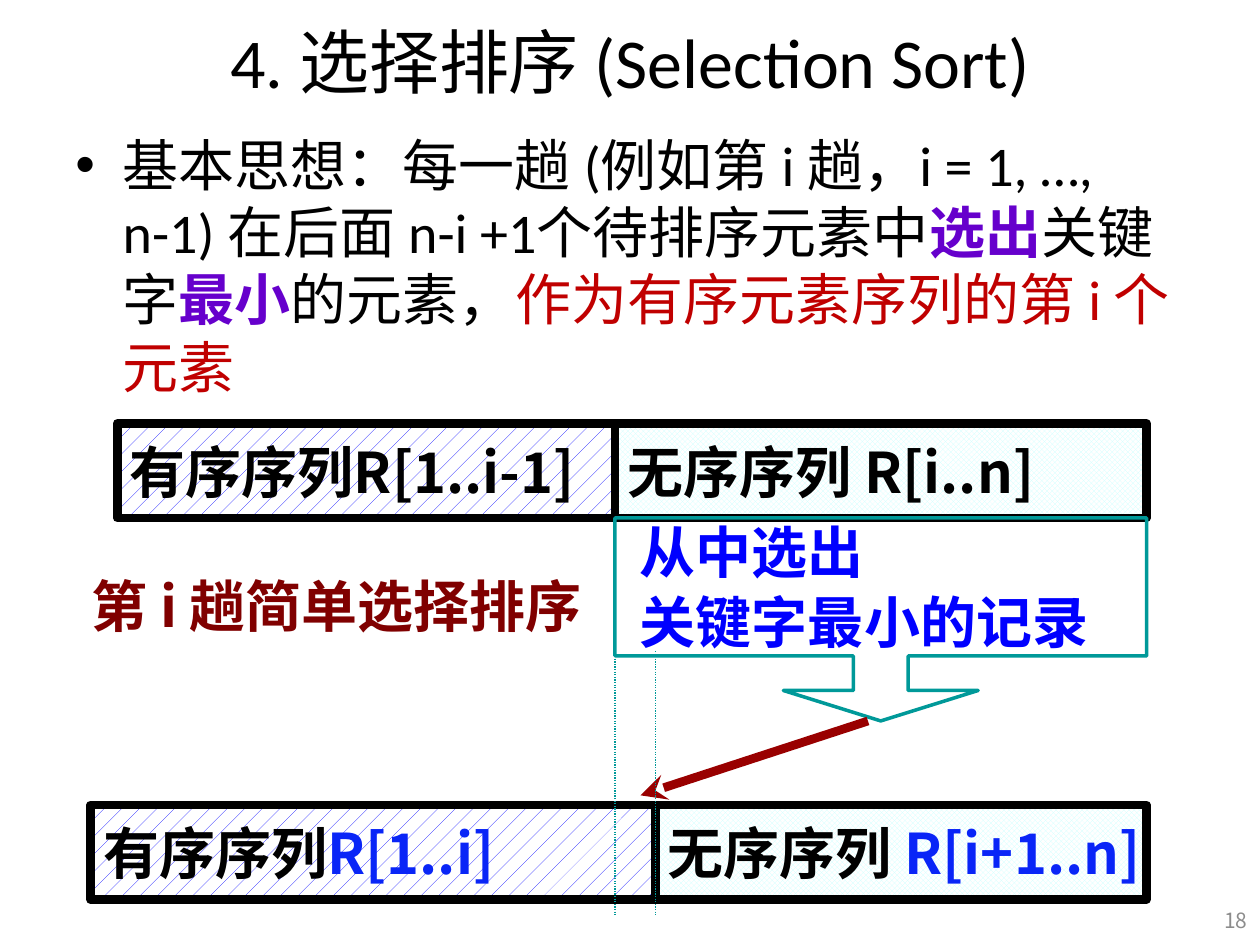
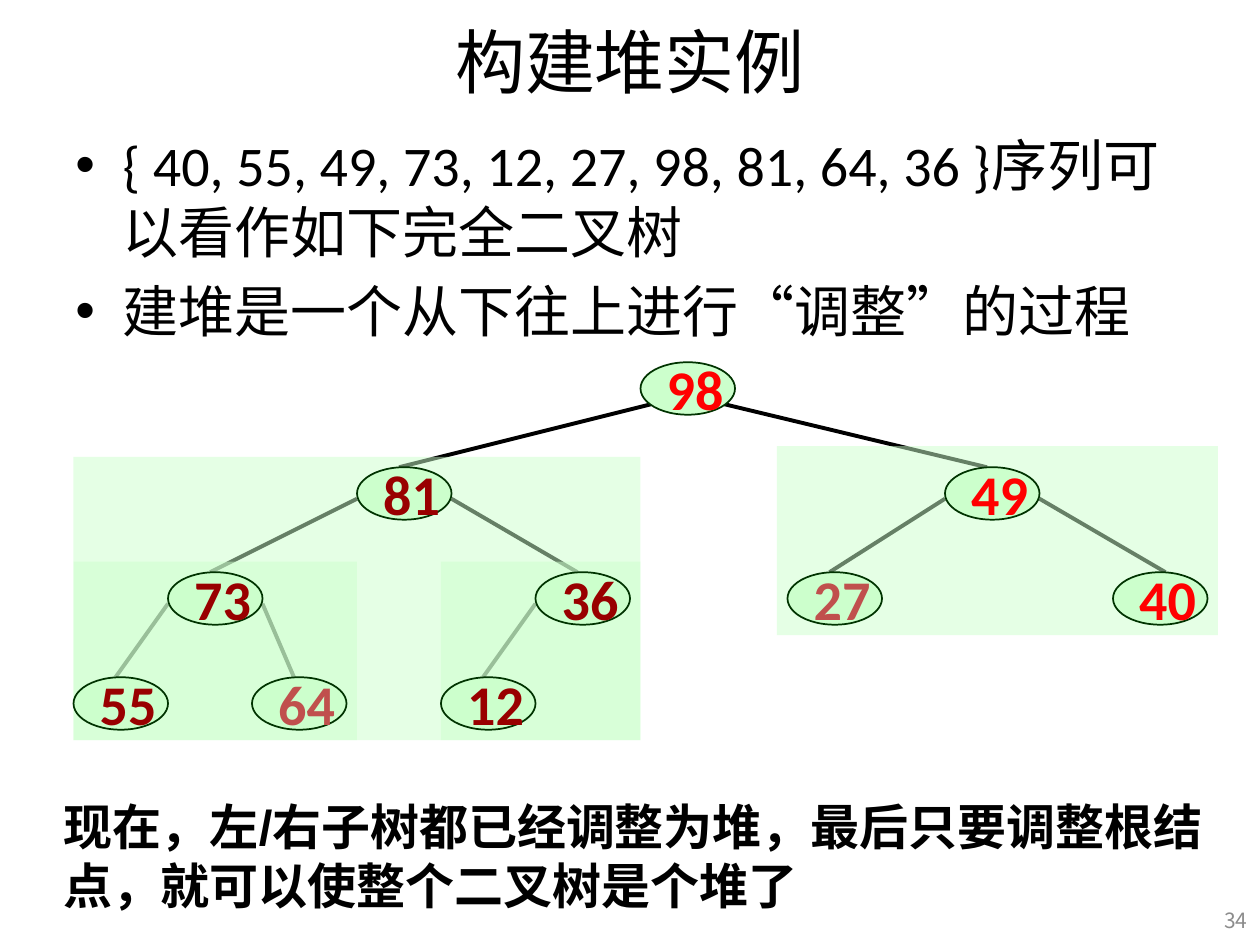
from lxml.etree import SubElement
from pptx import Presentation
from pptx.dml.color import RGBColor
from pptx.enum.dml import MSO_LINE, MSO_PATTERN
from pptx.enum.shapes import MSO_CONNECTOR, MSO_SHAPE
from pptx.enum.text import MSO_ANCHOR, PP_ALIGN
from pptx.oxml.ns import qn
from pptx.util import Pt

BLACK = RGBColor(0x00, 0x00, 0x00)
WHITE = RGBColor(0xFF, 0xFF, 0xFF)
GRAY = RGBColor(0x8C, 0x8C, 0x8C)
PURPLE = RGBColor(0x66, 0x00, 0xCC)
CRIMSON = RGBColor(0xC0, 0x00, 0x00)
MAROON = RGBColor(0x80, 0x00, 0x00)
DARK_RED = RGBColor(0x99, 0x00, 0x00)
RED = RGBColor(0xFF, 0x00, 0x00)
ROSE = RGBColor(0xC0, 0x50, 0x4D)
BLUE = RGBColor(0x00, 0x00, 0xFF)
RANGE_BLUE = RGBColor(0x09, 0x25, 0xF7)
TEAL = RGBColor(0x00, 0x99, 0x99)
PALE_CYAN = RGBColor(0xCC, 0xFF, 0xFF)
PALE_GREEN = RGBColor(0xCC, 0xFF, 0xCC)
DARK_GREEN = RGBColor(0x00, 0x33, 0x00)

LATIN = "Calibri"
CHINESE = "Noto Sans CJK SC"


def write_text(shape, paragraphs, size=32, font=LATIN, bold=False,
               align=PP_ALIGN.LEFT, anchor=MSO_ANCHOR.TOP, wrap=True):
    """Write paragraphs given as lists of (text, color[, bold[, size]]) runs."""
    frame = shape.text_frame
    frame.word_wrap = wrap
    frame.vertical_anchor = anchor
    for index, runs in enumerate(paragraphs):
        paragraph = frame.paragraphs[0] if index == 0 else frame.add_paragraph()
        paragraph.alignment = align
        for text, color, *style in runs:
            run = paragraph.add_run()
            run.text = text
            run.font.name = font
            run.font.bold = style[0] if style else bold
            run.font.size = Pt(style[1] if len(style) > 1 else size)
            run.font.color.rgb = color
            SubElement(run.font._element, qn("a:ea"), typeface=CHINESE)
    return frame


def add_line(slide, start, end, color, width):
    points = [Pt(value) for value in (*start, *end)]
    connector = slide.shapes.add_connector(MSO_CONNECTOR.STRAIGHT, *points)
    connector.line.color.rgb = color
    connector.line.width = Pt(width)
    SubElement(connector._element.spPr, qn("a:effectLst"))
    return connector


presentation = Presentation()
presentation.slide_width = Pt(720)
presentation.slide_height = Pt(540)

# Title, bulleted body and slide number
contents = [
    ("4. 选择排序 (Selection Sort)", "18", [[
        ("基本思想：每一趟 (例如第 i 趟，i = 1, …, n-1) 在后面 n-i +1个待排序元素中", BLACK),
        ("选出", PURPLE, True),
        ("关键字", BLACK),
        ("最小", PURPLE, True),
        ("的元素，", BLACK),
        ("作为有序元素序列的第 i 个元素", CRIMSON),
    ]]),
    ("构建堆实例", "34", [
        [("{ 40, 55, 49, 73, 12, 27, 98, 81, 64, 36 }序列可以看作如下完全二叉树", BLACK)],
        [("建堆是一个从下往上进行“调整”的过程", BLACK)],
    ]),
]
for title, number, body in contents:
    slide = presentation.slides.add_slide(presentation.slide_layouts[6])
    title_box = slide.shapes.add_textbox(Pt(36), Pt(-2), Pt(648), Pt(73))
    write_text(title_box, [[(title, BLACK)]], size=40,
               align=PP_ALIGN.CENTER, anchor=MSO_ANCHOR.MIDDLE)
    body_box = slide.shapes.add_textbox(Pt(36), Pt(71), Pt(648), Pt(459))
    for paragraph in write_text(body_box, body).paragraphs:
        paragraph.space_before = Pt(6.4)
        properties = paragraph._p.get_or_add_pPr()
        properties.set("marL", str(Pt(27)))
        properties.set("indent", str(Pt(-27)))
        SubElement(properties, qn("a:buFont"), typeface="Arial")
        SubElement(properties, qn("a:buChar"), char="•")
    number_box = slide.shapes.add_textbox(Pt(689), Pt(511), Pt(31), Pt(29))
    write_text(number_box, [[(number, GRAY)]], size=12, font=CHINESE,
               align=PP_ALIGN.RIGHT, anchor=MSO_ANCHOR.MIDDLE)

selection_slide, heap_slide = presentation.slides

# Selection sort: sequence before and after pass i
BAR_RIGHT = 655.2
BAR_HEIGHT = 54
SPLIT_BEFORE = 351.4
SPLIT_AFTER = 374.4
ordered_style = (MSO_PATTERN.PERCENT_5, BLUE)
unordered_style = (MSO_PATTERN.TRELLIS, PALE_CYAN)
bars = [
    (67, SPLIT_BEFORE, 242, ordered_style, [("有序序列R[1..i-1]", BLACK)]),
    (SPLIT_BEFORE, BAR_RIGHT, 242, unordered_style, [("无序序列 R[i..n]", BLACK)]),
    (51.8, SPLIT_AFTER, 460, ordered_style,
     [("有序序列", BLACK), ("R[1..i]", RANGE_BLUE)]),
    (SPLIT_AFTER, BAR_RIGHT, 460, unordered_style,
     [("无序序列 ", BLACK), ("R[i+1..n]", RANGE_BLUE)]),
]
for left, right, top, (pattern, color), runs in bars:
    bar = selection_slide.shapes.add_shape(
        MSO_SHAPE.RECTANGLE, Pt(left), Pt(top), Pt(right - left), Pt(BAR_HEIGHT))
    bar.shadow.inherit = False
    bar.fill.patterned()
    bar.fill.pattern = pattern
    bar.fill.fore_color.rgb = color
    bar.fill.back_color.rgb = WHITE
    bar.line.color.rgb = BLACK
    bar.line.width = Pt(5)
    write_text(bar, [runs], font=CHINESE, bold=True,
               anchor=MSO_ANCHOR.MIDDLE, wrap=False)

captions = [
    ((36, 312.5, 304, 58), [[(" ", MAROON, True, 40), ("第 i 趟简单选择排序", MAROON)]]),
    ((358.6, 290, 292, 88.5), [[("从中选出", BLUE)], [("关键字最小的记录", BLUE)]]),
]
for box, paragraphs in captions:
    caption = selection_slide.shapes.add_textbox(*[Pt(value) for value in box])
    frame = write_text(caption, paragraphs, font=CHINESE, bold=True)
    for paragraph in frame.paragraphs:
        paragraph.line_spacing = 1.05

callout = selection_slide.shapes.add_shape(
    MSO_SHAPE.DOWN_ARROW_CALLOUT, Pt(SPLIT_BEFORE), Pt(296),
    Pt(BAR_RIGHT - SPLIT_BEFORE), Pt(116))
callout.shadow.inherit = False
callout.fill.background()
callout.line.color.rgb = TEAL
callout.line.width = Pt(2)
for index, adjustment in enumerate((0.27, 0.48, 0.15, 0.68)):
    callout.adjustments[index] = adjustment

arrow = add_line(selection_slide, (496, 412), (366, 454.5), DARK_RED, 5)
SubElement(arrow.line._get_or_add_ln(), qn("a:tailEnd"), type="stealth")
for split in (SPLIT_BEFORE, SPLIT_AFTER):
    guide = add_line(selection_slide, (split, 372), (split, 523), TEAL, 0.75)
    guide.line.dash_style = MSO_LINE.ROUND_DOT

# Heap: nodes in level order, so the parent of node i is (i - 1) // 2
NODE_WIDTH = 54
NODE_HEIGHT = 30
LEVEL_TOPS = [207, 267, 327, 387]
nodes = [
    (98, 366, RED),
    (81, 204, DARK_RED), (49, 540, RED),
    (73, 96, DARK_RED), (36, 306, DARK_RED), (27, 450, ROSE), (40, 636, RED),
    (55, 42, DARK_RED), (64, 144, ROSE), (12, 252, DARK_RED),
]
tops = [LEVEL_TOPS[(index + 1).bit_length() - 1] for index in range(len(nodes))]

for index in range(1, len(nodes)):
    parent = (index - 1) // 2
    inset, drop = (6, 24) if parent == 0 else (0, 18)
    is_left = index % 2 == 1
    start_x = nodes[parent][1] + (inset if is_left else NODE_WIDTH - inset)
    end_x = nodes[index][1] + (30 if nodes[index][0] == 40 else 24)
    add_line(heap_slide, (start_x, tops[parent] + drop), (end_x, tops[index]), BLACK, 2.25)

subtree_areas = [(252, 321, 114, 102), (42, 321, 162, 102),
                 (444, 255, 252, 108), (42, 261, 324, 162)]
for area in subtree_areas:
    subtree = heap_slide.shapes.add_shape(MSO_SHAPE.RECTANGLE, *[Pt(value) for value in area])
    subtree.shadow.inherit = False
    subtree.fill.solid()
    subtree.fill.fore_color.rgb = PALE_GREEN
    subtree.line.fill.background()
    fill_color = subtree._element.spPr.find(".//" + qn("a:srgbClr"))
    SubElement(fill_color, qn("a:alpha"), val="50000")

for (value, left, color), top in zip(nodes, tops):
    node = heap_slide.shapes.add_shape(
        MSO_SHAPE.OVAL, Pt(left), Pt(top), Pt(NODE_WIDTH), Pt(NODE_HEIGHT))
    node.shadow.inherit = False
    node.fill.solid()
    node.fill.fore_color.rgb = PALE_GREEN
    node.line.color.rgb = DARK_GREEN
    node.line.width = Pt(1)
    write_text(node, [[(str(value), color)]], bold=True,
               anchor=MSO_ANCHOR.MIDDLE, wrap=False)

conclusion = heap_slide.shapes.add_textbox(Pt(29), Pt(451.5), Pt(691), Pt(75))
write_text(conclusion,
           [[("现在，左/右子树都已经调整为堆，最后只要调整根结点，就可以使整个二叉树是个堆了", BLACK)]],
           size=28, font="Arial", bold=True)

presentation.save("out.pptx")
